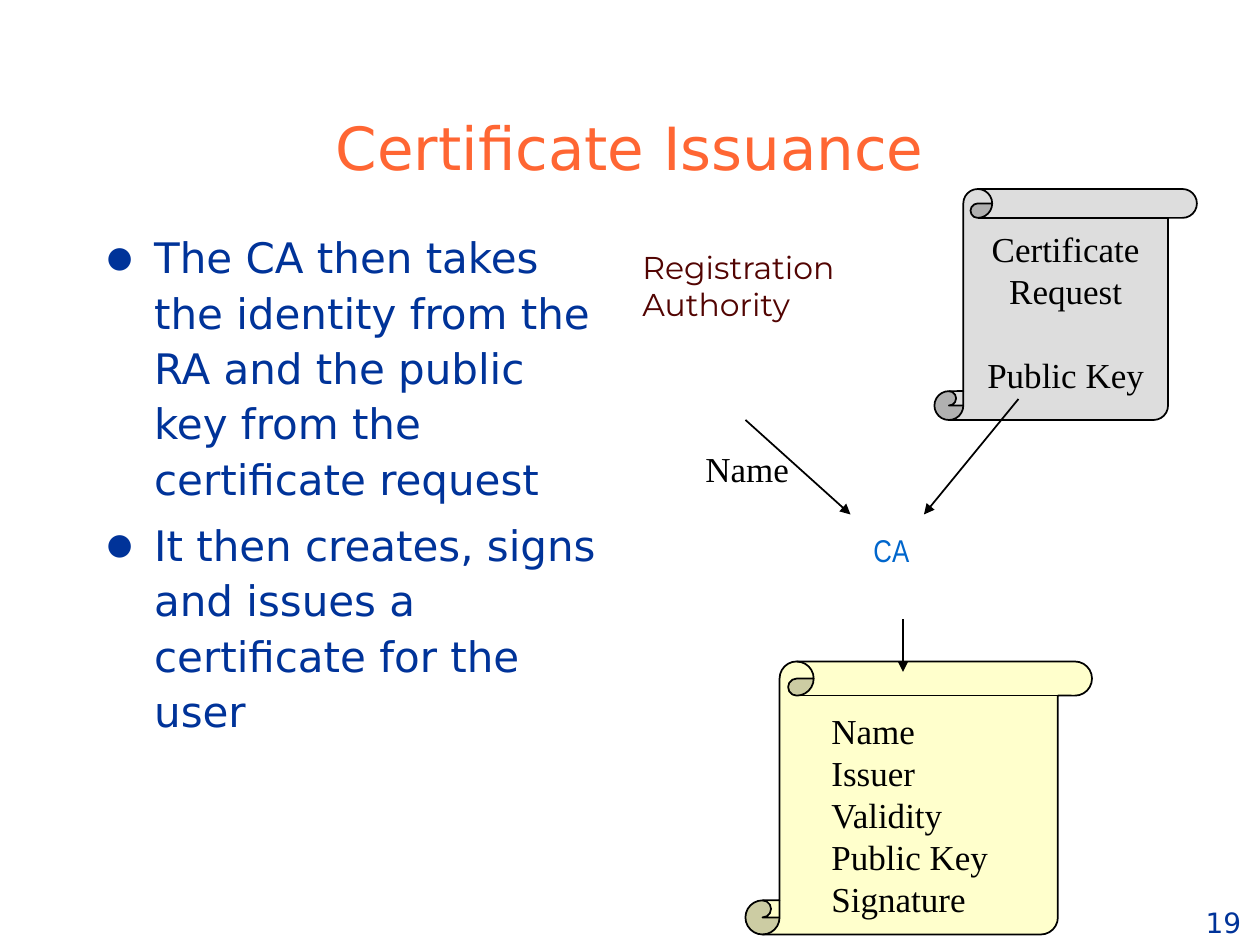
from lxml import etree
from pptx import Presentation
from pptx.dml.color import RGBColor
from pptx.enum.shapes import MSO_CONNECTOR, MSO_SHAPE
from pptx.enum.text import MSO_ANCHOR, MSO_AUTO_SIZE, PP_ALIGN
from pptx.oxml.ns import qn
from pptx.util import Pt

SCALE = 9525
LINE = MSO_CONNECTOR.STRAIGHT
SCROLL = MSO_SHAPE.VERTICAL_SCROLL
RECT = MSO_SHAPE.RECTANGLE
TOP, MIDDLE, BOTTOM = MSO_ANCHOR.TOP, MSO_ANCHOR.MIDDLE, MSO_ANCHOR.BOTTOM
LEFT, CENTER = PP_ALIGN.LEFT, PP_ALIGN.CENTER
FIXED = MSO_AUTO_SIZE.NONE

BLACK = RGBColor(0x00, 0x00, 0x00)
NAVY = RGBColor(0x00, 0x33, 0x99)
ORANGE = RGBColor(0xFF, 0x66, 0x33)
MAROON = RGBColor(0x52, 0x04, 0x02)
BLUE = RGBColor(0x00, 0x66, 0xCC)
GREY = RGBColor(0xDD, 0xDD, 0xDD)
CREAM = RGBColor(0xFF, 0xFF, 0xCC)

SANS = "DejaVu Sans"
SERIF = "Times New Roman"


def px(*vals):
    return [val * SCALE for val in vals]


def write(shape, lines, face, size, color, align=LEFT, anchor=TOP, wrap=False):
    frame = shape.text_frame
    frame.auto_size = FIXED
    frame.word_wrap = wrap
    frame.vertical_anchor = anchor
    for num, line in enumerate(lines):
        para = frame.add_paragraph() if num else frame.paragraphs[0]
        para.alignment = align
        run = para.add_run()
        run.text = line
        run.font.name = face
        run.font.size = Pt(size)
        run.font.color.rgb = color
    return frame.paragraphs


def add_title(slide, box, text):
    title = slide.shapes.title
    title.left, title.top, title.width, title.height = px(*box)
    write(title, [text], SANS, 34, ORANGE, CENTER, BOTTOM, True)


def add_text(slide, box, lines, face, size, color, **opts):
    area = slide.shapes.add_textbox(*px(*box))
    return write(area, lines, face, size, color, **opts)


def add_list(slide, box, items):
    paras = add_text(slide, box, items, SANS, 24, NAVY, wrap=True)
    for num, para in enumerate(paras):
        para.line_spacing = 1.1
        para.space_before = Pt(6 if num else 0)
        props = para._p.get_or_add_pPr()
        props.set("marL", str(36 * SCALE))
        props.set("indent", str(-36 * SCALE))
        etree.SubElement(props, qn("a:buSzPct")).set("val", "70000")
        etree.SubElement(props, qn("a:buFont")).set("typeface", SANS)
        etree.SubElement(props, qn("a:buChar")).set("char", "●")


def add_shape(slide, kind, box, fill, edge=True):
    shape = slide.shapes.add_shape(kind, *px(*box))
    shape.shadow.inherit = False
    shape.fill.solid()
    shape.fill.fore_color.rgb = fill
    if edge:
        shape.line.color.rgb = BLACK
        shape.line.width = Pt(1)
    else:
        shape.line.fill.background()
    return shape


def add_arrow(slide, *ends):
    arrow = slide.shapes.add_connector(LINE, *px(*ends))
    arrow.line.color.rgb = BLACK
    arrow.line.width = Pt(1)
    etree.SubElement(arrow.line._get_or_add_ln(), qn("a:tailEnd")).set("type", "triangle")
    etree.SubElement(arrow._element.spPr, qn("a:effectLst"))


def main():
    deck = Presentation()
    deck.slide_width, deck.slide_height = px(960, 720)
    slide = deck.slides.add_slide(deck.slide_layouts[5])

    add_text(slide, (870, 682, 124, 38), ["19"], SANS, 16, NAVY,
             align=CENTER, anchor=BOTTOM)
    add_title(slide, (72, 64, 816, 80), "Certificate Issuance")
    add_list(slide, (72, 168, 400, 456), [
        "The CA then takes the identity from the RA and the public key "
        "from the certificate request",
        "It then creates, signs and issues a certificate for the user",
    ])
    add_text(slide, (480, 184, 184, 120), ["Registration", "Authority"],
             "Montserrat", 18, MAROON)

    request = add_shape(slide, SCROLL, (712, 144, 200, 176), GREY)
    paras = write(request, ["Certificate", "Request", "Public Key"],
                  SERIF, 20, BLACK, CENTER, MIDDLE)
    paras[-1].space_before = Pt(24)

    add_shape(slide, SCROLL, (568, 504, 264, 208), CREAM)
    fields = add_shape(slide, RECT, (624, 536, 144, 170), CREAM, edge=False)
    write(fields, ["Name", "Issuer", "Validity", "Public Key", "Signature"],
          SERIF, 20, BLACK, wrap=True)

    add_text(slide, (656, 400, 51, 60), ["CA"], "Arial Narrow", 18, BLUE)
    for ends in ((568, 320, 648, 392), (776, 304, 704, 392), (688, 472, 688, 512)):
        add_arrow(slide, *ends)
    add_text(slide, (528, 336, 83, 42), ["Name"], SERIF, 20, BLACK)

    deck.save("out.pptx")


if __name__ == "__main__":
    main()
